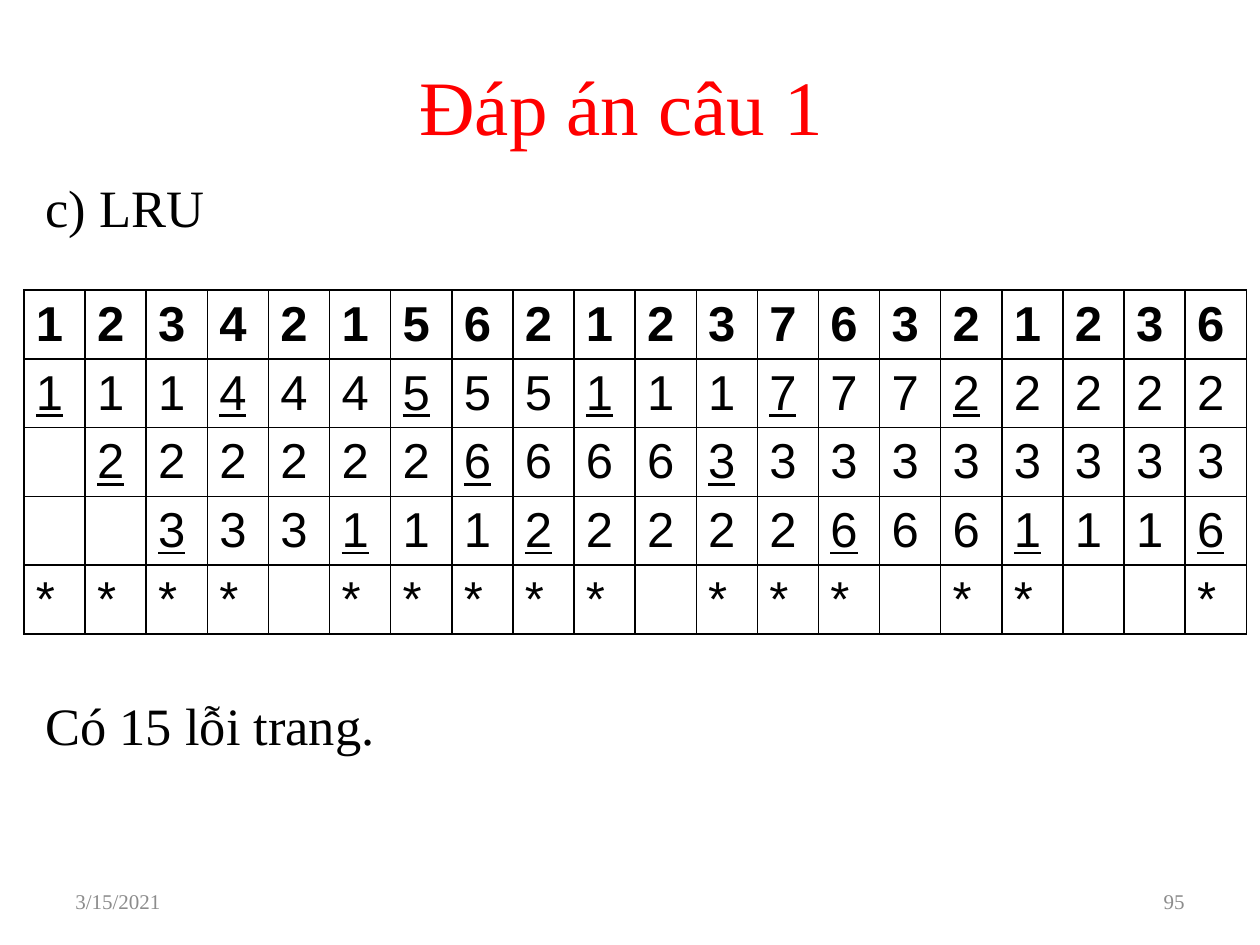
from dataclasses import dataclass

from lxml import etree
from pptx import Presentation
from pptx.dml.color import RGBColor
from pptx.enum.text import MSO_ANCHOR, PP_ALIGN
from pptx.oxml.ns import qn
from pptx.util import Pt

LEFT, CENTER, RIGHT = PP_ALIGN.LEFT, PP_ALIGN.CENTER, PP_ALIGN.RIGHT
JUSTIFY = PP_ALIGN.JUSTIFY
TOP, MIDDLE = MSO_ANCHOR.TOP, MSO_ANCHOR.MIDDLE
PX_PER_INCH = 126
EMU_PER_INCH = 914400

REFERENCES = "12342156212376321236"
FRAMES = [
    "11144455511177722222",
    " 2222226666333333333",
    "  333111222226661116",
]


def px(length):
    return round(length * EMU_PER_INCH / PX_PER_INCH)


@dataclass(frozen=True)
class Theme:
    serif: str = "Times New Roman"
    sans: str = "Arial"
    title_color: str = "FF0000"
    ink: str = "000000"
    muted: str = "8C8C8C"
    title_size: int = 44
    body_size: int = 30
    cell_size: int = 28
    footer_size: int = 12
    border_width: int = 1


class SlideBuilder:
    def __init__(self, page, theme):
        self.page = page
        self.theme = theme

    def style(self, para, name, size, color, bold=False, underline=False):
        for span in para.runs:
            font = span.font
            font.name, font.size = name, Pt(size)
            font.color.rgb = RGBColor.from_string(color)
            font.bold, font.underline = bold, underline

    def text(self, area, lines, size, color, align=LEFT, anchor=MIDDLE,
             top_inset=6, gap=0):
        """Add a text box whose lines stand gap points apart."""
        box = self.page.shapes.add_textbox(*map(px, area))
        frame = box.text_frame
        frame.word_wrap = True
        frame.vertical_anchor = anchor
        frame.margin_top = px(top_inset)
        frame.text = "\n".join(lines)
        for index, para in enumerate(frame.paragraphs):
            para.alignment = align
            if index:
                para.space_before = Pt(gap)
            self.style(para, self.theme.serif, size, color)

    def border(self, cell):
        properties = cell._tc.get_or_add_tcPr()
        for side in ("lnL", "lnR", "lnT", "lnB"):
            line = etree.SubElement(properties, qn(f"a:{side}"),
                                    w=str(Pt(self.theme.border_width)))
            fill = etree.SubElement(line, qn("a:solidFill"))
            etree.SubElement(fill, qn("a:srgbClr"), val=self.theme.ink)

    def table(self, area, rows, underlined_rows):
        """Draw one character per cell; in underlined_rows, mark each new value."""
        left, top, width, height = map(px, area)
        grid = self.page.shapes.add_table(
            len(rows), len(rows[0]), left, top, width, height).table
        grid.first_row = grid.horz_banding = False
        for row_index, values in enumerate(rows):
            for column, value in enumerate(values):
                cell = grid.cell(row_index, column)
                self.border(cell)
                cell.fill.background()
                cell.vertical_anchor = MIDDLE
                cell.margin_left = cell.margin_right = px(12)
                cell.margin_top = cell.margin_bottom = px(5)
                if value == " ":
                    continue
                cell.text = value
                is_new = column == 0 or value != values[column - 1]
                self.style(cell.text_frame.paragraphs[0], self.theme.sans,
                           self.theme.cell_size, self.theme.ink,
                           bold=row_index == 0,
                           underline=row_index in underlined_rows and is_new)


def page_faults(frames):
    """Mark with a star every step at which some frame changes."""
    steps = list(zip(*frames))
    previous = [(" ",) * len(frames)] + steps[:-1]
    return "".join("*" if now != before else " "
                   for now, before in zip(steps, previous))


def main():
    deck = Presentation()
    deck.slide_width, deck.slide_height = px(1260), px(945)
    theme = Theme()
    faults = page_faults(FRAMES)
    builder = SlideBuilder(deck.slides.add_slide(deck.slide_layouts[6]), theme)

    builder.text((128, 48, 987, 113), ["Đáp án câu 1"],
                 theme.title_size, theme.title_color, CENTER)
    builder.text((33, 163, 1191, 722),
                 ["c) LRU", f"Có {faults.count('*')} lỗi trang."],
                 theme.body_size, theme.ink, JUSTIFY, TOP,
                 top_inset=12, gap=260)
    builder.table((24, 290, 1223, 336), [REFERENCES, *FRAMES, faults],
                  underlined_rows=(1, 2, 3))
    for left, label, align in ((63, "3/15/2021", LEFT), (903, "95", RIGHT)):
        builder.text((left, 876, 294, 50), [label],
                     theme.footer_size, theme.muted, align)

    deck.save("out.pptx")


if __name__ == "__main__":
    main()
